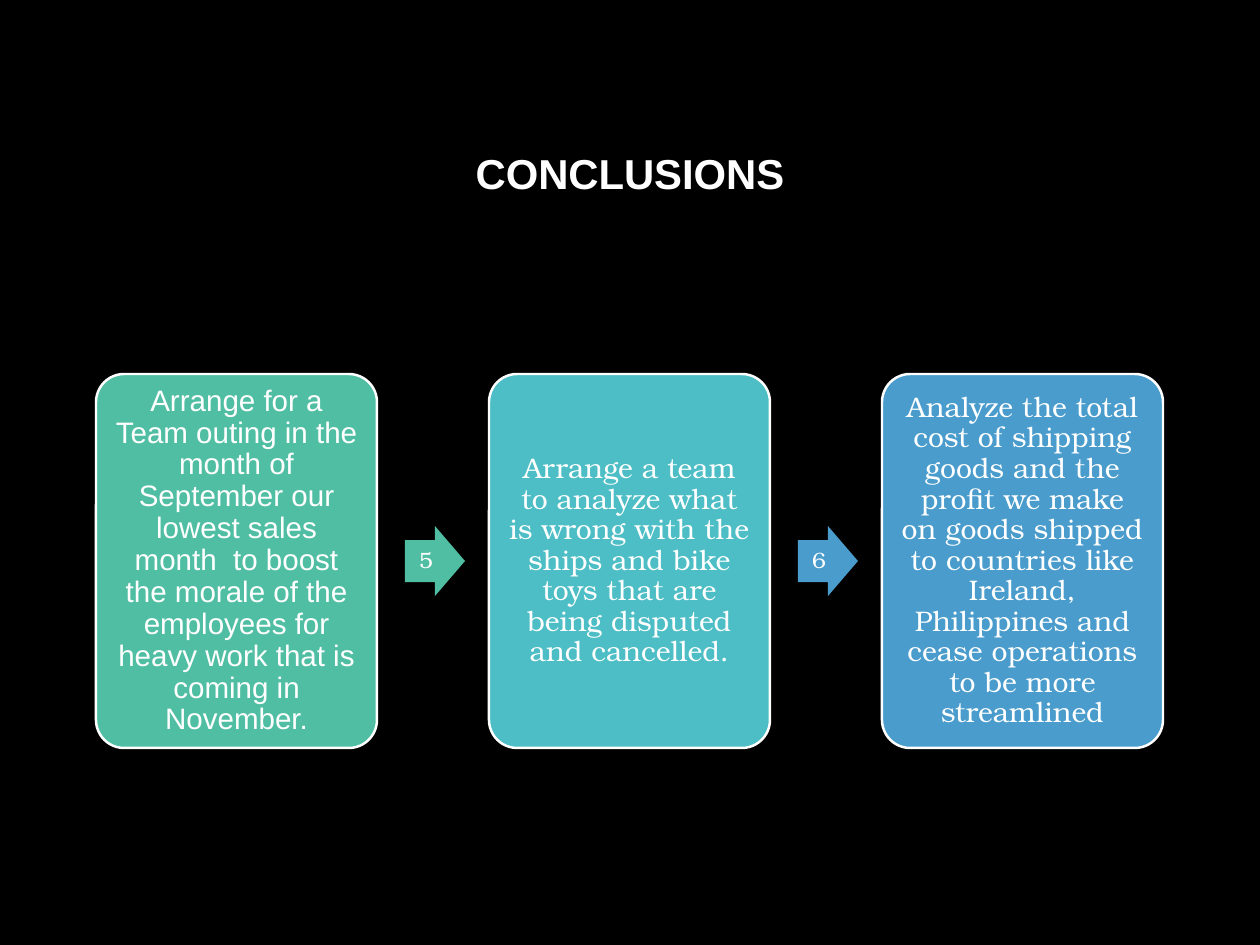
"""Builds the Conclusions slide: three action cards joined by numbered arrows."""
from pptx import Presentation
from pptx.dml.color import RGBColor
from pptx.enum.shapes import MSO_SHAPE as Shape
from pptx.enum.text import MSO_ANCHOR as Anchor, PP_ALIGN as Align
from pptx.util import Pt

COLORS = {"black": "000000", "white": "FFFFFF", "green": "50BEA3",
          "teal": "4DBEC5", "blue": "4A9CCC"}
SANS, SERIF = "Arial", "TeX Gyre Bonum"
TITLE = "CONCLUSIONS"
CARDS = [
    ("Arrange for a Team outing in the month of September our lowest sales "
     "month  to boost the morale of the employees for heavy work that is "
     "coming in November.", "green", SANS, 24),
    ("Arrange a team to analyze what is wrong with the ships and bike toys "
     "that are being disputed and cancelled.", "teal", SERIF, 23),
    ("Analyze the total cost of shipping goods and the profit we make on "
     "goods shipped to countries like Ireland, Philippines and cease "
     "operations to be more streamlined", "blue", SERIF, 23),
]
ARROWS = [("5", "green"), ("6", "blue")]

EMU_PER_PX = 10320
SLIDE_W, SLIDE_H = 1260, 945
TITLE_BOX = (95, 84, 1070, 183)
CARD_LEFT, CARD_TOP, CARD_W, CARD_H = 96, 374, 281, 374
ARROW_LEFT, ARROW_W, ARROW_H = 405, 60, 70
PITCH = 393
CARD_INSET = 9


def px(*lengths):
    return [length * EMU_PER_PX for length in lengths]


def rgb(name):
    return RGBColor.from_string(COLORS[name])


def write(shape, text, font, size, inset, bold=False):
    frame = shape.text_frame
    frame.word_wrap = True
    frame.vertical_anchor = Anchor.MIDDLE
    margin, = px(inset)
    frame.margin_left = frame.margin_right = margin
    frame.margin_top = frame.margin_bottom = margin
    paragraph = frame.paragraphs[0]
    paragraph.alignment = Align.CENTER
    paragraph.line_spacing = 0.9
    run = paragraph.add_run()
    run.text = text
    run.font.name, run.font.size, run.font.bold = font, Pt(size), bold
    run.font.color.rgb = rgb("white")


def add_block(slide, kind, box, color, adjustments):
    block = slide.shapes.add_shape(kind, *px(*box))
    block.shadow.inherit = False
    block.fill.solid()
    block.fill.fore_color.rgb = rgb(color)
    block.line.fill.background()
    for index, value in enumerate(adjustments):
        block.adjustments[index] = value
    return block


def main():
    deck = Presentation()
    deck.slide_width, deck.slide_height = px(SLIDE_W, SLIDE_H)
    slide = deck.slides.add_slide(deck.slide_layouts[6])
    slide.background.fill.solid()
    slide.background.fill.fore_color.rgb = rgb("black")

    title = slide.shapes.add_textbox(*px(*TITLE_BOX))
    write(title, TITLE, SANS, 34, CARD_INSET, bold=True)

    for index, (text, color, font, size) in enumerate(CARDS):
        box = (CARD_LEFT + index * PITCH, CARD_TOP, CARD_W, CARD_H)
        card = add_block(slide, Shape.ROUNDED_RECTANGLE, box, color, [0.1])
        card.line.color.rgb = rgb("white")
        card.line.width = Pt(2)
        write(card, text, font, size, CARD_INSET)

    arrow_top = CARD_TOP + (CARD_H - ARROW_H) // 2
    for index, (number, color) in enumerate(ARROWS):
        box = (ARROW_LEFT + index * PITCH, arrow_top, ARROW_W, ARROW_H)
        arrow = add_block(slide, Shape.RIGHT_ARROW, box, color, [0.6, 0.5])
        write(arrow, number, SERIF, 18, 0)

    deck.save("out.pptx")


if __name__ == "__main__":
    main()
